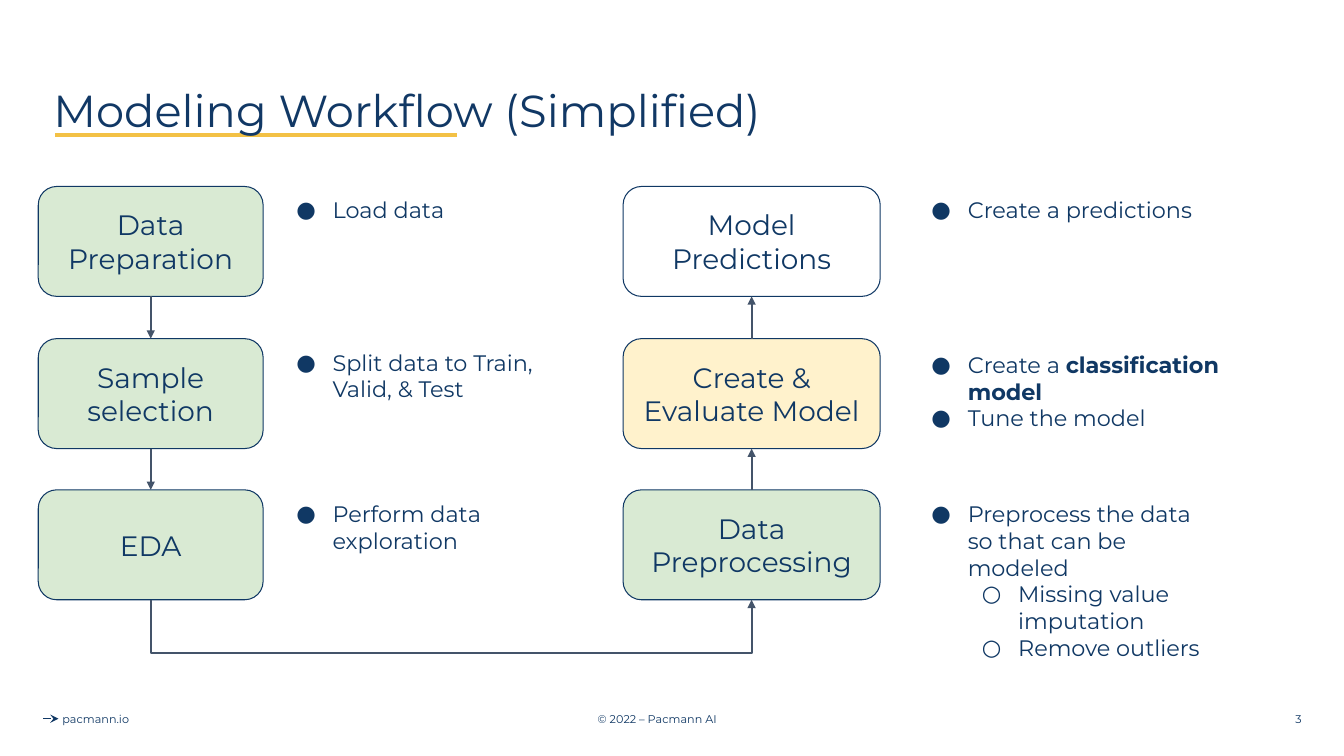
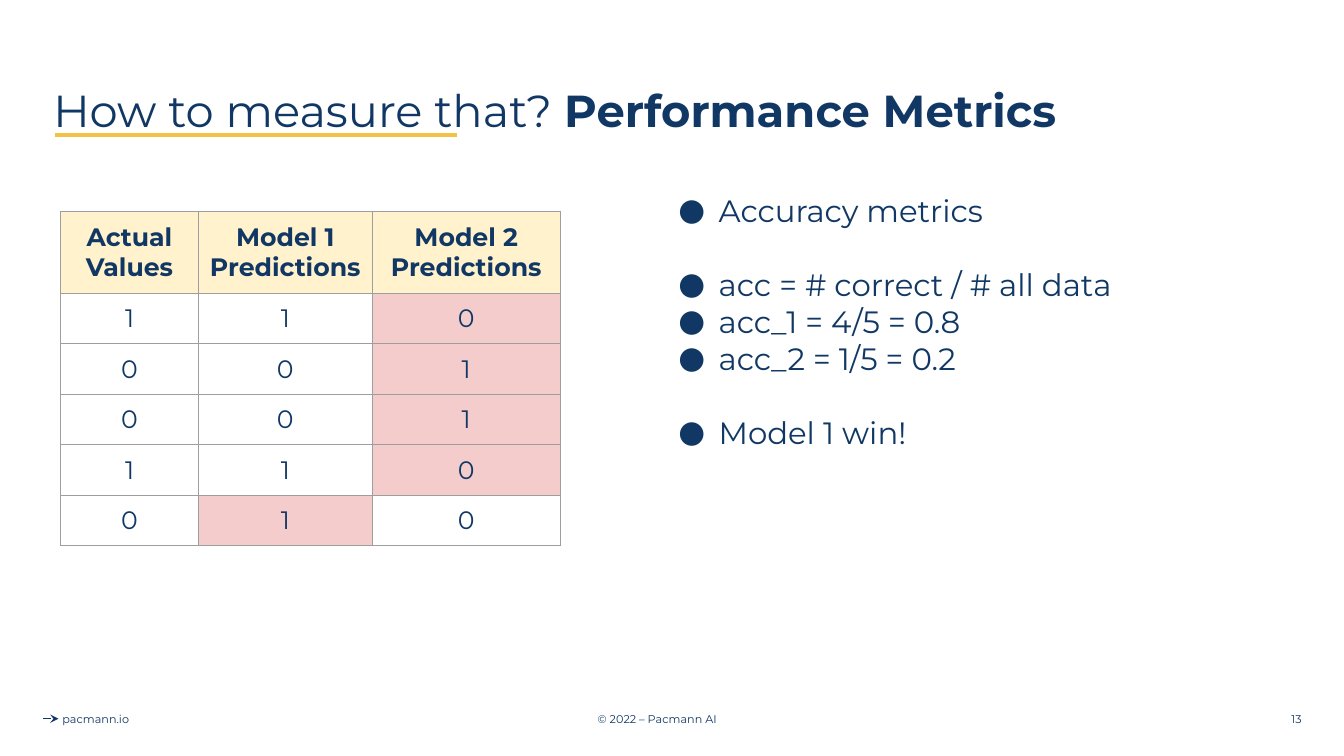
from lxml import etree
from pptx import Presentation
from pptx import util as u
from pptx.dml.color import RGBColor
from pptx.enum import shapes, text
from pptx.oxml import ns

# Shared style
FONT = "Montserrat"
NAVY, TITLE_NAVY = "103864", "113865"
GOLD, SLATE, GRID = "F3C145", "44546A", "9E9E9E"
GREEN, CREAM, PINK = "D9EAD3", "FFF2CC", "F4CCCC"
LEFT, CENTER, RIGHT = text.PP_ALIGN.LEFT, text.PP_ALIGN.CENTER, text.PP_ALIGN.RIGHT
TOP, MIDDLE = text.MSO_ANCHOR.TOP, text.MSO_ANCHOR.MIDDLE

# Workflow grid
ROW_TOPS = (1.85, 3.36, 4.86)
STEP_HEIGHT = 1.09
LEFT_STEPS, RIGHT_STEPS = (0.38, 2.23), (6.18, 2.55)  # left, width
NOTE_WIDTH = 3.21


def rgb(value):
    return RGBColor.from_string(value)


def child(parent, tag, **attributes):
    return etree.SubElement(parent, ns.qn(tag), attributes)


def style_runs(paragraph, size, color, bold=False):
    for run in paragraph.runs:
        run.font.name = FONT
        run.font.size = u.Pt(size)
        run.font.color.rgb = rgb(color)
        run.font.bold = bold


def prepare_frame(frame, anchor=TOP, inset=0.1):
    frame.word_wrap = True
    frame.vertical_anchor = anchor
    frame.margin_left = frame.margin_right = u.Inches(0.1)
    frame.margin_top = frame.margin_bottom = u.Inches(inset)


def add_label(slide, box, words, size, color=NAVY, align=LEFT):
    label = slide.shapes.add_textbox(*map(u.Inches, box))
    frame = label.text_frame
    prepare_frame(frame, MIDDLE, 0.05)
    frame.text = words
    paragraph = frame.paragraphs[0]
    paragraph.alignment = align
    style_runs(paragraph, size, color)
    return paragraph


def append_bold(paragraph, words):
    """Continue a paragraph in bold, in the style of its first run."""
    first = paragraph.runs[0].font
    run = paragraph.add_run()
    run.text = words
    run.font.name, run.font.size, run.font.bold = FONT, first.size, True
    run.font.color.rgb = first.color.rgb


def style_line(line, color, width, head=None):
    line.color.rgb = rgb(color)
    line.width = u.Pt(width)
    if head:
        child(line._get_or_add_ln(), "a:tailEnd", type=head)


def add_line(slide, start, end, color, width, head=None):
    connector = slide.shapes.add_connector(
        shapes.MSO_CONNECTOR.STRAIGHT, *map(u.Inches, start + end))
    style_line(connector.line, color, width, head)
    child(connector._element.spPr, "a:effectLst")


def add_bent_arrow(slide, points):
    corners = [tuple(map(u.Inches, point)) for point in points]
    builder = slide.shapes.build_freeform(*corners[0])
    builder.add_line_segments(corners[1:], close=False)
    route = builder.convert_to_shape()
    route.shadow.inherit = False
    route.fill.background()
    style_line(route.line, SLATE, 1.5, "triangle")


def add_step(slide, column, top, words, fill=None):
    left, width = column
    step = slide.shapes.add_shape(
        shapes.MSO_SHAPE.ROUNDED_RECTANGLE,
        *map(u.Inches, (left, top, width, STEP_HEIGHT)))
    step.shadow.inherit = False
    if fill:
        step.fill.solid()
        step.fill.fore_color.rgb = rgb(fill)
    else:
        step.fill.background()
    style_line(step.line, NAVY, 0.75)
    prepare_frame(step.text_frame, MIDDLE)
    step.text_frame.text = words
    paragraph = step.text_frame.paragraphs[0]
    paragraph.alignment = CENTER
    style_runs(paragraph, 20, NAVY)


def add_bullets(slide, box, items, size=16, color=NAVY, hang=0.36, inset=0.1):
    """Each item is (level, words); returns the paragraphs."""
    frame = slide.shapes.add_textbox(*map(u.Inches, box)).text_frame
    prepare_frame(frame, TOP, inset)
    frame.text = "\n".join(words for _, words in items)
    for paragraph, (level, _) in zip(frame.paragraphs, items):
        paragraph.level = level
        properties = paragraph._p.get_or_add_pPr()
        properties.set("marL", str(u.Inches(0.5 * (level + 1))))
        properties.set("indent", str(u.Inches(-hang)))
        child(child(properties, "a:buClr"), "a:srgbClr", val=color)
        child(properties, "a:buFont", typeface=FONT)
        child(properties, "a:buChar", char="●○"[level])
        style_runs(paragraph, size, color)
    return frame.paragraphs


def style_cell(cell, words, fill, bold):
    cell.margin_left = cell.margin_right = u.Inches(0.1)
    cell.margin_top = cell.margin_bottom = u.Inches(0.1)
    properties = cell._tc.get_or_add_tcPr()
    for side in "LRTB":
        edge = child(properties, f"a:ln{side}", w=str(u.Pt(0.75)))
        child(child(edge, "a:solidFill"), "a:srgbClr", val=GRID)
    if fill:
        cell.fill.solid()
        cell.fill.fore_color.rgb = rgb(fill)
    else:
        cell.fill.background()
    cell.text = words
    paragraph = cell.text_frame.paragraphs[0]
    paragraph.alignment = CENTER
    style_runs(paragraph, 18, TITLE_NAVY, bold)


def add_predictions_table(slide, headers, records):
    widths = (1.37, 1.72, 1.87)
    frame = slide.shapes.add_table(
        len(records) + 1, len(headers),
        *map(u.Inches, (0.6, 2.1, sum(widths), 3.34)))
    table = frame.table
    table.first_row = table.horz_banding = False
    for column, width in zip(table.columns, widths):
        column.width = u.Inches(width)
    for index, row in enumerate(table.rows):
        row.height = u.Inches(0.5 if index else 0.81)
    for index, header in enumerate(headers):
        style_cell(table.cell(0, index), header, CREAM, True)
    # Predictions that miss the actual value are pink
    for r, record in enumerate(records, 1):
        for c, value in enumerate(record):
            fill = PINK if value != record[0] else None
            style_cell(table.cell(r, c), str(value), fill, False)


def new_slide(deck, title, number):
    slide = deck.slides.add_slide(deck.slide_layouts[6])
    # Footer
    add_line(slide, (0.43, 7.13), (0.58, 7.13), NAVY, 0.75, "stealth")
    add_label(slide, (4.27, 6.93, 4.5, 0.4), "© 2022 – Pacmann AI", 8, align=CENTER)
    add_label(slide, (0.35, 6.93, 1.2, 0.4), "pacmann.io", 8, align=CENTER)
    add_label(slide, (10.01, 6.93, 3, 0.4), str(number), 8, align=RIGHT)
    # Underlined title
    add_line(slide, (0.55, 1.34), (4.53, 1.34), GOLD, 2.25)
    heading = add_label(slide, (0.43, 0.4, 12.59, 1.45), title, 32, TITLE_NAVY)
    heading.line_spacing = 0.9
    return slide, heading


def build_workflow(deck):
    slide, _ = new_slide(deck, "Modeling Workflow (Simplified)", 3)
    # Steps, top to bottom in each column
    columns = (
        (LEFT_STEPS, (("Data Preparation", GREEN), ("Sample selection", GREEN),
                      ("EDA", GREEN))),
        (RIGHT_STEPS, (("Model Predictions", None),
                       ("Create & Evaluate Model", CREAM),
                       ("Data Preprocessing", GREEN))),
    )
    for column, steps in columns:
        for top, (words, fill) in zip(ROW_TOPS, steps):
            add_step(slide, column, top, words, fill)
    # Arrows: down on the left, across, up on the right
    down_x, up_x = (left + width / 2 for left, width in (LEFT_STEPS, RIGHT_STEPS))
    for upper, lower in zip(ROW_TOPS, ROW_TOPS[1:]):
        bottom = upper + STEP_HEIGHT
        add_line(slide, (down_x, bottom), (down_x, lower), SLATE, 1.5, "triangle")
        add_line(slide, (up_x, lower), (up_x, bottom), SLATE, 1.5, "triangle")
    last_bottom = ROW_TOPS[-1] + STEP_HEIGHT
    add_bent_arrow(slide, ((down_x, last_bottom), (down_x, 6.48),
                           (up_x, 6.48), (up_x, last_bottom)))
    # Notes beside the steps
    notes = (
        (2.7, 1.85, 0.47, [(0, "Load data")]),
        (2.7, 3.36, 0.74, [(0, "Split data to Train, Valid, & Test")]),
        (2.7, 4.86, 0.74, [(0, "Perform data exploration")]),
        (9, 1.85, 0.47, [(0, "Create a predictions")]),
        (9, 3.38, 1.01, [(0, "Create a "), (0, "Tune the model")]),
        (9, 4.86, 1.82, [(0, "Preprocess the data so that can be modeled"),
                         (1, "Missing value imputation"),
                         (1, "Remove outliers")]),
    )
    for left, top, height, items in notes:
        paragraphs = add_bullets(slide, (left, top, NOTE_WIDTH, height), items)
        if items[0][1] == "Create a ":
            append_bold(paragraphs[0], "classification model")


def build_metrics(deck):
    slide, heading = new_slide(deck, "How to measure that? ", 13)
    append_bold(heading, "Performance Metrics")
    add_predictions_table(
        slide,
        ("Actual Values", "Model 1 Predictions", "Model 2 Predictions"),
        ((1, 1, 0), (0, 0, 1), (0, 0, 1), (1, 1, 0), (0, 1, 0)))
    lines = ("Accuracy metrics", "acc = # correct / # all data",
             "acc_1 = 4/5 = 0.8", "acc_2 = 1/5 = 0.2", "Model 1 win!")
    paragraphs = add_bullets(slide, (6.53, 1.85, 6.12, 2.69),
                             [(0, line) for line in lines],
                             22, TITLE_NAVY, hang=0.4, inset=0.05)
    # Set the formulas apart from the heading and the verdict
    for index in (1, 4):
        paragraphs[index].space_before = u.Pt(26.5)


def main():
    deck = Presentation()
    deck.slide_width, deck.slide_height = u.Inches(13.33), u.Inches(7.5)
    build_workflow(deck)
    build_metrics(deck)
    deck.save("out.pptx")


if __name__ == "__main__":
    main()
